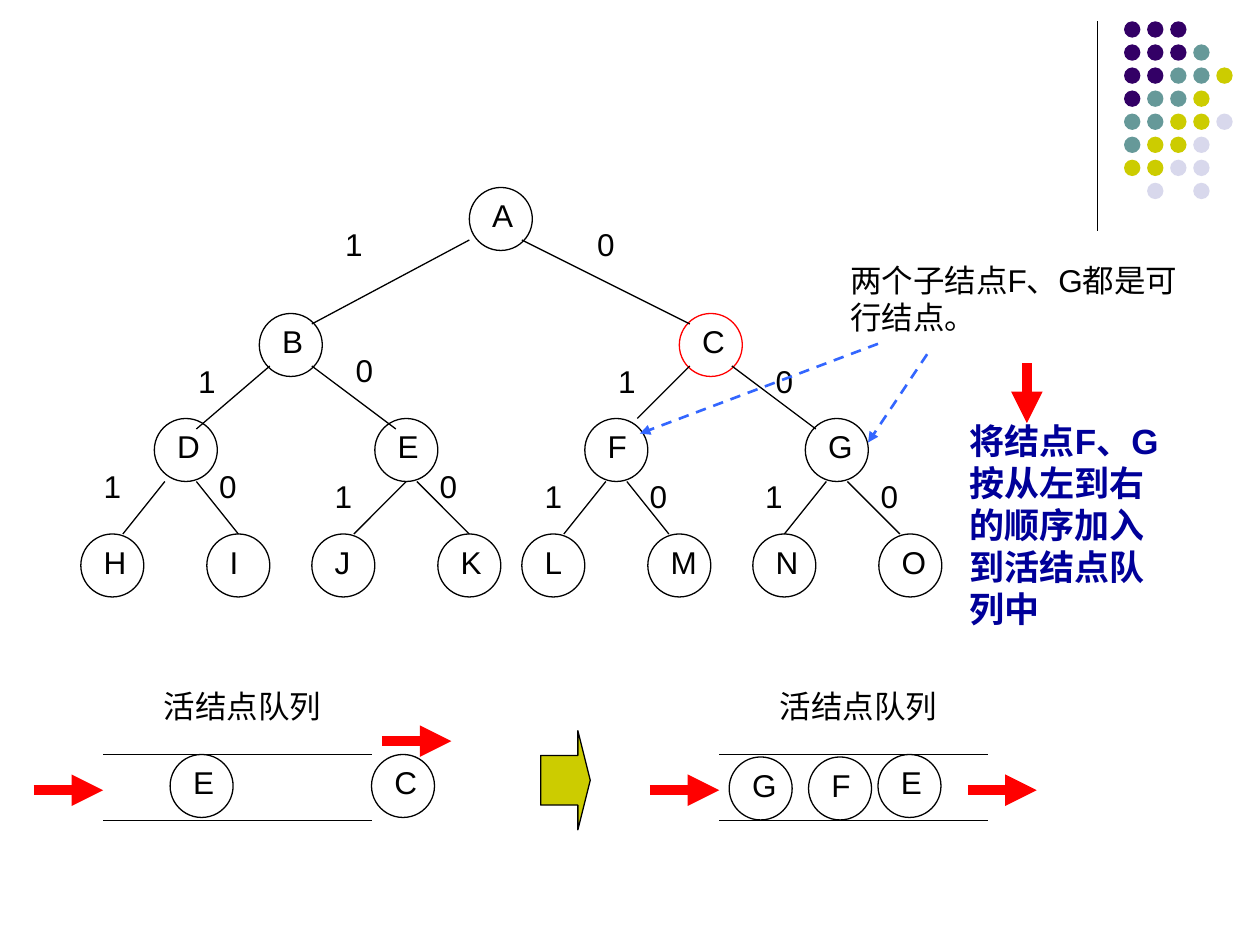
from lxml.etree import SubElement as Sub
from pptx import Presentation
from pptx.dml.color import RGBColor
from pptx.enum.dml import MSO_LINE as Dash
from pptx.enum.shapes import MSO_CONNECTOR as Conn, MSO_SHAPE as Form
from pptx.enum.text import MSO_AUTO_SIZE as Fit, PP_ALIGN as Align
from pptx.oxml.ns import qn
from pptx.util import Cm, Pt

BLACK = RGBColor(0x00, 0x00, 0x00)
RED = RGBColor(0xFF, 0x00, 0x00)
BLUE = RGBColor(0x33, 0x66, 0xFF)
NAVY = RGBColor(0x00, 0x00, 0x99)
PLUM = RGBColor(0x33, 0x00, 0x66)
TEAL = RGBColor(0x66, 0x99, 0x99)
LIME = RGBColor(0xCC, 0xCC, 0x00)
PALE = RGBColor(0xD8, 0xD8, 0xEC)

# Tree grid: twelve steps to the inch, counted from its top left corner
STEP = 2.54 / 12
LEFT, TOP = 1.63, 3.78
SIZE = 6 * STEP

# Row of each tree level, and the column of each node on it
NODES = {
    0: {"A": 37},
    12: {"B": 17, "C": 57},
    22: {"D": 7, "E": 28, "F": 48, "G": 69},
    33: {"H": 0, "I": 12, "J": 22, "K": 34, "L": 42, "M": 54, "N": 64, "O": 76},
}
EDGES = [
    (37, 5, 22, 13), (42, 5, 58, 13),
    (18, 17, 11, 23), (22, 17, 30, 23), (58, 17, 53, 22), (62, 17, 70, 23),
    (8, 28, 4, 33), (11, 28, 15, 33), (31, 28, 26, 33), (32, 28, 37, 33),
    (50, 28, 46, 33), (52, 28, 56, 33), (71, 28, 67, 33), (73, 28, 78, 33),
]
BITS = {
    "1": [(24, 3), (10, 16), (50, 16), (1, 26), (23, 27), (43, 27), (64, 27)],
    "0": [(48, 3), (25, 15), (65, 16), (12, 26), (33, 26), (53, 27), (75, 27)],
}

DOTS = ["PPP", "PPPT", "PPTTL", "PTTL", "TTLLW", "TLLW", "LLWW", " W W"]
TINTS = {"P": PLUM, "T": TEAL, "L": LIME, "W": PALE}


def grid(col, row):
    return LEFT + col * STEP, TOP + row * STEP


def text(slide, words, x, y, w, h=1.02, size=18, color=BLACK, bold=False,
         align=Align.LEFT):
    box = slide.shapes.add_textbox(Cm(x), Cm(y), Cm(w), Cm(h))
    frame = box.text_frame
    frame.word_wrap = True
    frame.auto_size = Fit.SHAPE_TO_FIT_TEXT
    para = frame.paragraphs[0]
    para.alignment = align
    run = para.add_run()
    run.text = words
    font = run.font
    font.name, font.size, font.bold = "Arial", Pt(size), bold
    font.color.rgb = color


def line(slide, x1, y1, x2, y2, color=BLACK, width=0.75, dash=None, head=False):
    link = slide.shapes.add_connector(
        Conn.STRAIGHT, Cm(x1), Cm(y1), Cm(x2), Cm(y2))
    link.line.color.rgb = color
    link.line.width = Pt(width)
    if dash:
        link.line.dash_style = dash
    if head:
        Sub(link.line._get_or_add_ln(), qn("a:tailEnd"), type="triangle")
    Sub(link._element.spPr, qn("a:effectLst"))


def arrow(slide, x1, y1, x2, y2):
    line(slide, x1, y1, x2, y2, color=RED, width=6, head=True)


def shape(slide, form, x, y, w, h, fill=None, edge=None):
    item = slide.shapes.add_shape(form, Cm(x), Cm(y), Cm(w), Cm(h))
    item.shadow.inherit = False
    if fill is None:
        item.fill.background()
    else:
        item.fill.solid()
        item.fill.fore_color.rgb = fill
    if edge is None:
        item.line.fill.background()
    else:
        item.line.color.rgb = edge
        item.line.width = Pt(0.75)
    return item


def node(slide, name, x, y, edge=BLACK):
    shape(slide, Form.OVAL, x, y, SIZE, SIZE, edge=edge)
    text(slide, name, x + STEP, y + 0.05, 5 * STEP)


def corner(slide):
    line(slide, 22.12, 0.43, 22.12, 4.65)
    pitch = 1.86 / 4
    for row, marks in enumerate(DOTS):
        for col, mark in enumerate(marks):
            if mark in TINTS:
                shape(slide, Form.OVAL, 22.66 + col * pitch, 0.43 + row * pitch,
                      0.33, 0.33, fill=TINTS[mark])


def tree(slide):
    for row, names in NODES.items():
        for name, col in names.items():
            node(slide, name, *grid(col, row), edge=RED if name == "C" else BLACK)
    for x1, y1, x2, y2 in EDGES:
        line(slide, *grid(x1, y1), *grid(x2, y2))
    for bit, spots in BITS.items():
        for spot in spots:
            text(slide, bit, *grid(*spot), 5 * STEP)


def notes(slide):
    for ends in [(17.7, 6.93, 12.9, 8.74), (18.69, 7.14, 17.5, 8.92)]:
        line(slide, *ends, color=BLUE, width=1.5, dash=Dash.DASH, head=True)
    text(slide, "两个子结点F、G都是可行结点。", 16.89, 5.13, 7.39, 1.78)
    arrow(slide, 20.7, 7.32, 20.7, 8.53)
    text(slide, "将结点F、G按从左到右的顺序加入到活结点队列中",
         19.3, 8.33, 4.6, 4.5, size=20, color=NAVY, bold=True)


def queue(slide, x, items):
    for y in (15.21, 16.54):
        line(slide, x, y, x + 5.41, y)
    for name, left, top in items:
        node(slide, name, x + left, top)
    arrow(slide, x - 1.4, 15.93, x, 15.93)
    text(slide, "活结点队列", x + 0.61, 13.72, 4.39, align=Align.CENTER)


def main():
    deck = Presentation()
    deck.slide_width, deck.slide_height = Cm(25.4), Cm(19.05)
    slide = deck.slides.add_slide(deck.slide_layouts[6])

    corner(slide)
    tree(slide)
    notes(slide)

    # Queue before the step, with C leaving
    queue(slide, 2.08, [("C", 5.41, 15.21), ("E", 1.35, 15.21)])
    arrow(slide, 7.7, 14.94, 9.1, 14.94)

    # Queue after the step
    block = shape(slide, Form.RIGHT_ARROW, 10.9, 14.73, 1, 2, fill=LIME, edge=BLACK)
    block.adjustments[0], block.adjustments[1] = 0.5, 0.25
    queue(slide, 14.5, [("E", 3.2, 15.21), ("F", 1.8, 15.26), ("G", 0.2, 15.26)])
    arrow(slide, 19.51, 15.93, 20.9, 15.93)

    deck.save("out.pptx")


if __name__ == "__main__":
    main()
